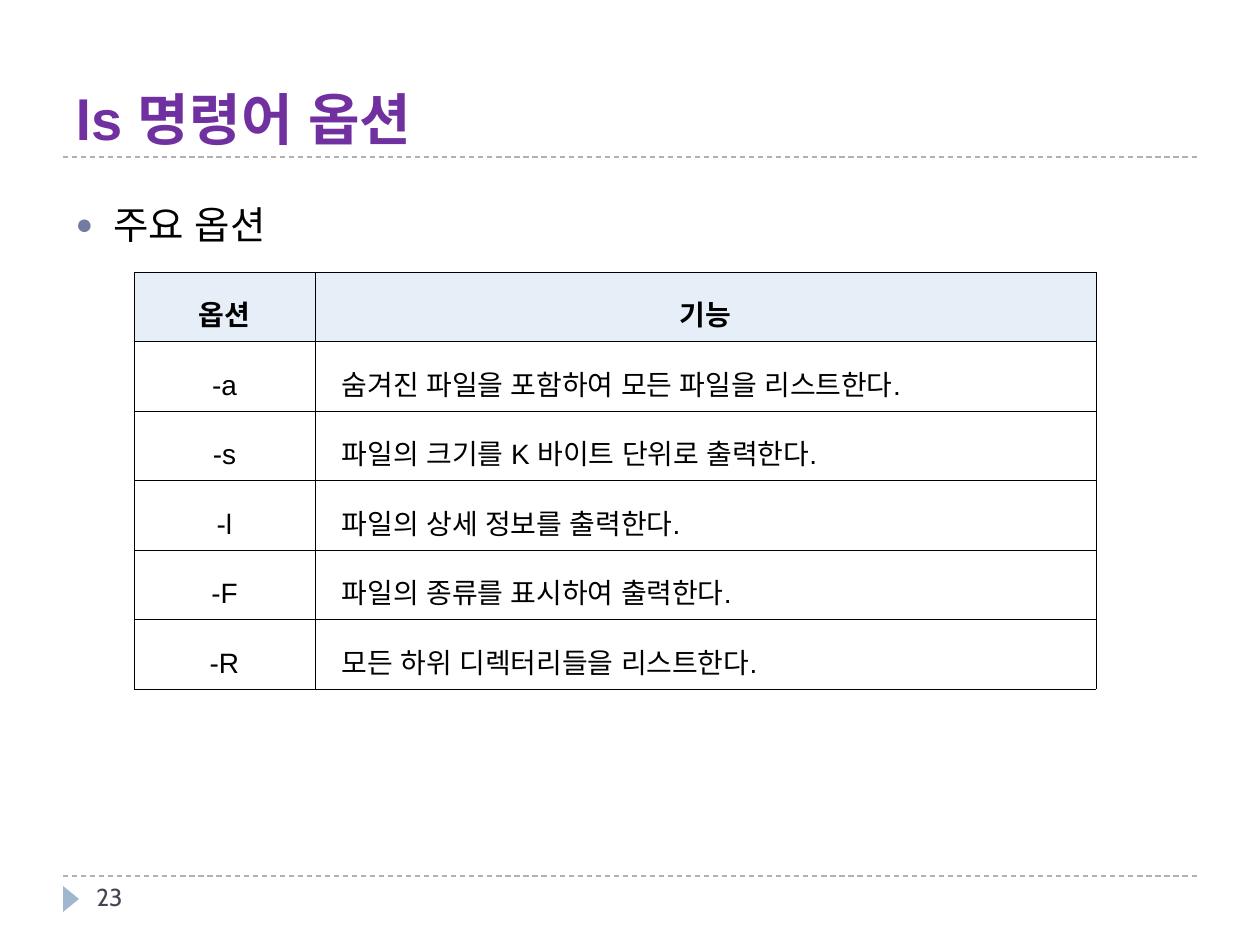
from dataclasses import dataclass

from lxml.etree import SubElement
from pptx import Presentation
from pptx.dml.color import RGBColor
from pptx.enum.dml import MSO_LINE
from pptx.enum.shapes import MSO_CONNECTOR, MSO_SHAPE
from pptx.enum.text import MSO_ANCHOR, MSO_AUTO_SIZE, PP_ALIGN
from pptx.oxml.ns import qn
from pptx.util import Pt

# Content
TITLE = "ls 명령어 옵션"
BULLET = "주요 옵션"
PAGE_NUMBER = "23"
OPTIONS = [
    ("옵션", "기능"),
    ("-a", "숨겨진 파일을 포함하여 모든 파일을 리스트한다."),
    ("-s", "파일의 크기를 K 바이트 단위로 출력한다."),
    ("-l", "파일의 상세 정보를 출력한다."),
    ("-F", "파일의 종류를 표시하여 출력한다."),
    ("-R", "모든 하위 디렉터리들을 리스트한다."),
]

# Layout in px
PAGE_SIZE = (1260, 945)
RULE_X, RULE_YS = (63, 1197), (876, 157)
TITLE_BOX = (63, 21, 1134, 137)
BODY_BOX = (63, 195, 1134, 654)
NUMBER_BOX = (84, 876, 273, 50)
MARKER_BOX = (58, 891, 26, 16)
TABLE_AT, COLUMNS, TABLE_HEIGHT = (134, 272), (181, 781), 417
CELL_MARGINS = {"margin_left": 9, "margin_right": 9, "margin_top": 3, "margin_bottom": 3}
BULLET_INDENT, CELL_INDENT = 38, 18


@dataclass(frozen=True)
class Theme:
    font: str = "Arial"
    number_font: str = "Cabin"
    title: str = "7030A0"
    text: str = "000000"
    number: str = "464653"
    bullet: str = "727CA3"
    accent: str = "9FB8CD"
    rule: str = "B2B2B2"
    header: str = "E6EEF7"
    title_size: int = 32
    body_size: int = 22
    table_size: int = 16
    number_size: int = 14


THEME = Theme()


def px(value):
    return round(value * 914400 / 126)


def color(code):
    return RGBColor.from_string(code)


def apply(target, values):
    for name, value in values.items():
        setattr(target, name, value)


def write(para, text, size, code, font=THEME.font, bold=False):
    span = para.add_run()
    span.text = text
    apply(span.font, {"name": font, "size": Pt(size), "bold": bold})
    span.font.color.rgb = color(code)
    # Korean text takes the same typeface
    SubElement(span._r.get_or_add_rPr(), qn("a:ea"), typeface=font)


def place(box, bounds):
    apply(box, dict(zip(("left", "top", "width", "height"), map(px, bounds))))


def add_bullet(para):
    properties = para._p.get_or_add_pPr()
    apply_indent(properties, BULLET_INDENT, -BULLET_INDENT)
    bullet_color = SubElement(properties, qn("a:buClr"))
    SubElement(bullet_color, qn("a:srgbClr"), val=THEME.bullet)
    SubElement(properties, qn("a:buSzPct"), val="76000")
    SubElement(properties, qn("a:buFont"), typeface=THEME.font)
    SubElement(properties, qn("a:buChar"), char="●")


def apply_indent(properties, margin, first=0):
    properties.set("marL", str(px(margin)))
    properties.set("indent", str(px(first)))


def add_borders(cell):
    properties = cell._tc.get_or_add_tcPr()
    for side in ("lnL", "lnR", "lnT", "lnB"):
        border = SubElement(properties, qn(f"a:{side}"), w=str(Pt(0.28)))
        fill = SubElement(border, qn("a:solidFill"))
        SubElement(fill, qn("a:srgbClr"), val=THEME.text)


def add_rule(page, y):
    rule = page.shapes.add_connector(
        MSO_CONNECTOR.STRAIGHT, px(RULE_X[0]), px(y), px(RULE_X[1]), px(y))
    apply(rule.line, {"width": Pt(0.75), "dash_style": MSO_LINE.DASH})
    rule.line.color.rgb = color(THEME.rule)
    SubElement(rule._element.spPr, qn("a:effectLst"))


def add_marker(page):
    marker = page.shapes.add_shape(MSO_SHAPE.ISOSCELES_TRIANGLE, *map(px, MARKER_BOX))
    marker.rotation = 90
    marker.shadow.inherit = False
    marker.fill.solid()
    marker.fill.fore_color.rgb = color(THEME.accent)
    marker.line.fill.background()


def fill_placeholders(page):
    title, body = page.shapes.title, page.placeholders[1]
    for box, bounds, anchor in ((title, TITLE_BOX, MSO_ANCHOR.BOTTOM),
                                (body, BODY_BOX, MSO_ANCHOR.TOP)):
        place(box, bounds)
        apply(box.text_frame, {"vertical_anchor": anchor, "word_wrap": True,
                               "auto_size": MSO_AUTO_SIZE.NONE})
    heading = title.text_frame.paragraphs[0]
    heading.alignment = PP_ALIGN.LEFT
    write(heading, TITLE, THEME.title_size, THEME.title, bold=True)
    item = body.text_frame.paragraphs[0]
    add_bullet(item)
    item.space_before = Pt(0)
    write(item, BULLET, THEME.body_size, THEME.text)


def add_number(page):
    box = page.shapes.add_textbox(*map(px, NUMBER_BOX))
    box.text_frame.word_wrap = True
    write(box.text_frame.paragraphs[0], PAGE_NUMBER, THEME.number_size,
          THEME.number, font=THEME.number_font)


def add_options(page):
    # Rows share the table height equally
    size = (sum(COLUMNS), TABLE_HEIGHT)
    table = page.shapes.add_table(
        len(OPTIONS), len(COLUMNS), *map(px, TABLE_AT + size)).table
    table.horz_banding = False
    for column, width in zip(table.columns, COLUMNS):
        column.width = px(width)
    for row, texts in enumerate(OPTIONS):
        for column, text in enumerate(texts):
            cell = table.cell(row, column)
            header = row == 0
            add_borders(cell)
            apply(cell, {name: px(value) for name, value in CELL_MARGINS.items()})
            cell.vertical_anchor = MSO_ANCHOR.MIDDLE
            if header:
                cell.fill.solid()
                cell.fill.fore_color.rgb = color(THEME.header)
            else:
                cell.fill.background()
            para = cell.text_frame.paragraphs[0]
            para.line_spacing = 1.6
            if header or column == 0:
                para.alignment = PP_ALIGN.CENTER
            else:
                apply_indent(para._p.get_or_add_pPr(), CELL_INDENT)
            write(para, text, THEME.table_size, THEME.text, bold=header)


def main():
    deck = Presentation()
    deck.slide_width, deck.slide_height = map(px, PAGE_SIZE)
    page = deck.slides.add_slide(deck.slide_layouts[1])
    # Frame of the page
    for y in RULE_YS:
        add_rule(page, y)
    add_marker(page)
    add_number(page)
    # Text and table
    fill_placeholders(page)
    add_options(page)
    deck.save("out.pptx")


if __name__ == "__main__":
    main()
